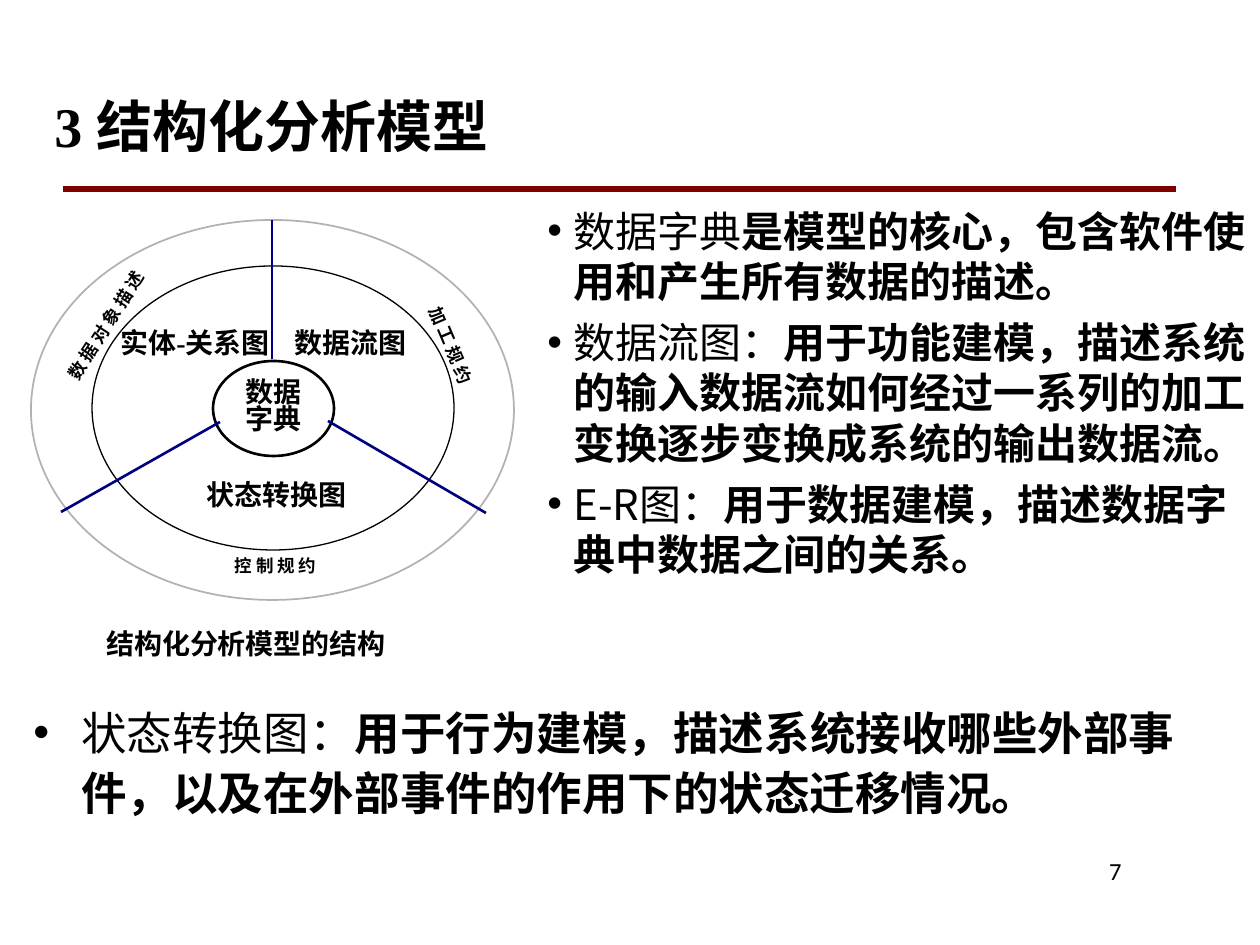
from dataclasses import dataclass

from lxml.etree import SubElement
from pptx import Presentation
from pptx.dml.color import RGBColor
from pptx.enum.shapes import MSO_CONNECTOR, MSO_SHAPE
from pptx.enum.text import MSO_ANCHOR, PP_ALIGN
from pptx.oxml.ns import qn
from pptx.util import Emu, Pt

PX = 914400 // 126


@dataclass(frozen=True)
class Theme:
    black: str = "000000"
    rule: str = "800000"
    spoke: str = "000080"
    outer_ring: str = "B2B2B2"
    serif: str = "Times New Roman"
    sans: str = "Calibri"
    chinese: str = "Noto Sans CJK SC"
    casual: str = "Comic Neue"
    title: int = 32
    closing: int = 26
    body: int = 24
    label: int = 16
    number: int = 14
    small: int = 10


THEME = Theme()

# Content: runs are (text, bold, font or None for the paragraph's font)
TITLE = [("3 ", True, None), ("结构化分析模型", True, THEME.sans)]
BODY = [
    [("数据字典", False, None),
     ("是模型的核心，包含软件使用和产生所有数据的描述。", True, None)],
    [("数据流图：", False, None),
     ("用于功能建模，描述系统的输入数据流如何经过一系列的加工变换逐步变换成系统的输出数据流。", True, None)],
    [("E-R图：", False, None),
     ("用于数据建模，描述数据字典中数据之间的关系。", True, None)],
]
CLOSING = [
    ("状态转换图", False, None),
    ("：", False, THEME.sans),
    ("用于行为建模，描述系统接收哪些外部事件，以及在外部事件的作用下的状态迁移情况。", True, None),
]
CAPTION = "结构化分析模型的结构"
CORE = "数据字典"
SECTORS = [  # text, box, alignment
    ("实体-关系图", (108, 319, 185, 49), PP_ALIGN.JUSTIFY),
    ("数据流图", (258, 319, 185, 49), PP_ALIGN.CENTER),
    ("状态转换图", (184, 471, 185, 49), PP_ALIGN.CENTER),
]
RING_LABELS = [  # text, box, rotation
    ("控 制 规 约", (200, 549, 151, 37), 0),
    ("加 工 规 约", (384, 324, 122, 47), 66.9),
    ("数 据 对 象 描 述", (39, 294, 189, 99), 302.7),
]
RINGS = [  # box, colour, line width
    ((31, 220, 483, 380), THEME.outer_ring, 1),
    ((92, 266, 362, 284), THEME.black, 0.75),
    ((213, 361, 121, 95), THEME.black, 1.5),
]
SPOKES = [(272, 220, 272, 359), (220, 422, 61, 512), (486, 513, 328, 421)]


def px(values):
    return [Emu(value * PX) for value in values]


def add_line(slide, ends, color, width):
    line = slide.shapes.add_connector(MSO_CONNECTOR.STRAIGHT, *px(ends))
    line.line.color.rgb = RGBColor.from_string(color)
    line.line.width = Pt(width)
    SubElement(line._element.spPr, qn("a:effectLst"))


def add_ring(slide, box, color, width):
    ring = slide.shapes.add_shape(MSO_SHAPE.OVAL, *px(box))
    ring.shadow.inherit = False
    ring.fill.background()
    ring.line.color.rgb = RGBColor.from_string(color)
    ring.line.width = Pt(width)
    return ring


def add_bullet(paragraph, indent):
    properties = paragraph._p.get_or_add_pPr()
    properties.set("marL", str(indent * PX))
    properties.set("indent", str(-indent * PX))
    SubElement(properties, qn("a:buFont"), typeface="Arial")
    SubElement(properties, qn("a:buChar"), char="•")


def write(paragraph, runs, size, font, align=PP_ALIGN.LEFT, bullet=0, spacing=None):
    if bullet:
        add_bullet(paragraph, bullet)
    paragraph.alignment = align
    if spacing:
        paragraph.line_spacing = spacing
    paragraph.font.size = Pt(size)
    paragraph.font.name = font
    paragraph.font.color.rgb = RGBColor.from_string(THEME.black)
    SubElement(paragraph.font._rPr, qn("a:ea"), typeface=THEME.chinese)
    for text, bold, run_font in runs:
        run = paragraph.add_run()
        run.text = text
        run.font.bold = bold
        if run_font:
            run.font.name = run_font


def add_text(slide, box, paragraphs, size, font, anchor=MSO_ANCHOR.TOP,
             wrap=True, rotation=0, **style):
    shape = slide.shapes.add_textbox(*px(box))
    shape.rotation = rotation
    frame = shape.text_frame
    frame.word_wrap = wrap
    frame.vertical_anchor = anchor
    for index, runs in enumerate(paragraphs):
        paragraph = frame.add_paragraph() if index else frame.paragraphs[0]
        write(paragraph, runs, size, font, **style)
        if index:
            paragraph.space_before = Pt(6)


def main():
    presentation = Presentation()
    presentation.slide_width, presentation.slide_height = px((1260, 945))
    slide = presentation.slides.add_slide(presentation.slide_layouts[6])

    # Heading
    add_line(slide, (63, 189, 1176, 189), THEME.rule, 3)
    add_text(slide, (42, 73, 1134, 105), [TITLE], THEME.title, THEME.serif,
             anchor=MSO_ANCHOR.MIDDLE)

    # Model diagram
    for text, box, align in SECTORS:
        add_text(slide, box, [[(text, True, None)]], THEME.label, THEME.serif, align=align)
    rings = [add_ring(slide, *ring) for ring in RINGS]
    core = rings[-1].text_frame
    core.word_wrap = True
    core.vertical_anchor = MSO_ANCHOR.TOP
    write(core.paragraphs[0], [(CORE, True, None)], THEME.label, THEME.serif,
          align=PP_ALIGN.CENTER, spacing=0.8)
    for ends in SPOKES:
        add_line(slide, ends, THEME.spoke, 1.5)
    for text, box, rotation in RING_LABELS:
        add_text(slide, box, [[(text, True, None)]], THEME.small, THEME.chinese,
                 wrap=False, rotation=rotation, align=PP_ALIGN.CENTER)
    add_text(slide, (94, 620, 357, 47), [[(CAPTION, True, None)]], THEME.label, THEME.casual)

    # Explanations: the box ends just inside the slide's right edge
    add_text(slide, (535, 199, 725, 483), BODY, THEME.body, THEME.chinese, bullet=26)
    add_text(slide, (21, 693, 1207, 136), [CLOSING], THEME.closing, THEME.chinese,
             bullet=48, spacing=1.1)

    # Slide number
    add_text(slide, (955, 850, 179, 63), [[("7", False, None)]], THEME.number, THEME.sans,
             align=PP_ALIGN.RIGHT)

    presentation.save("out.pptx")


if __name__ == "__main__":
    main()
